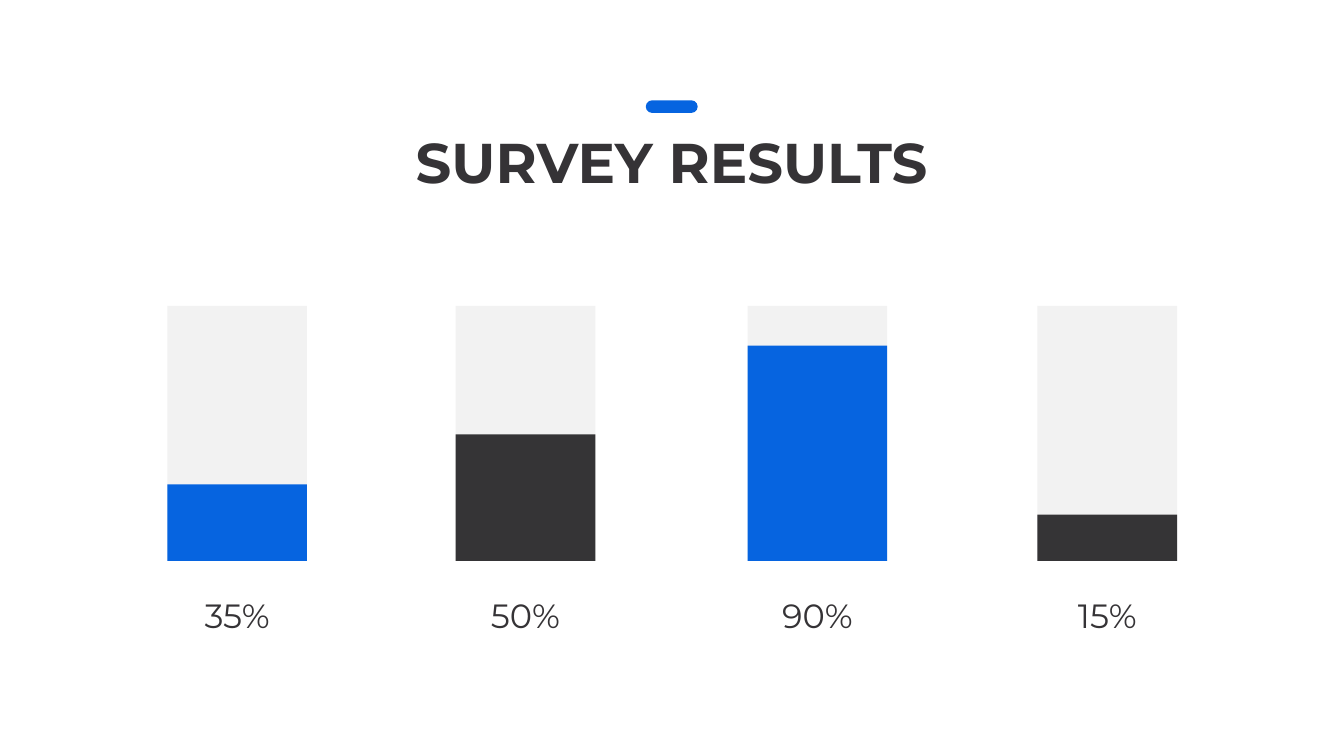
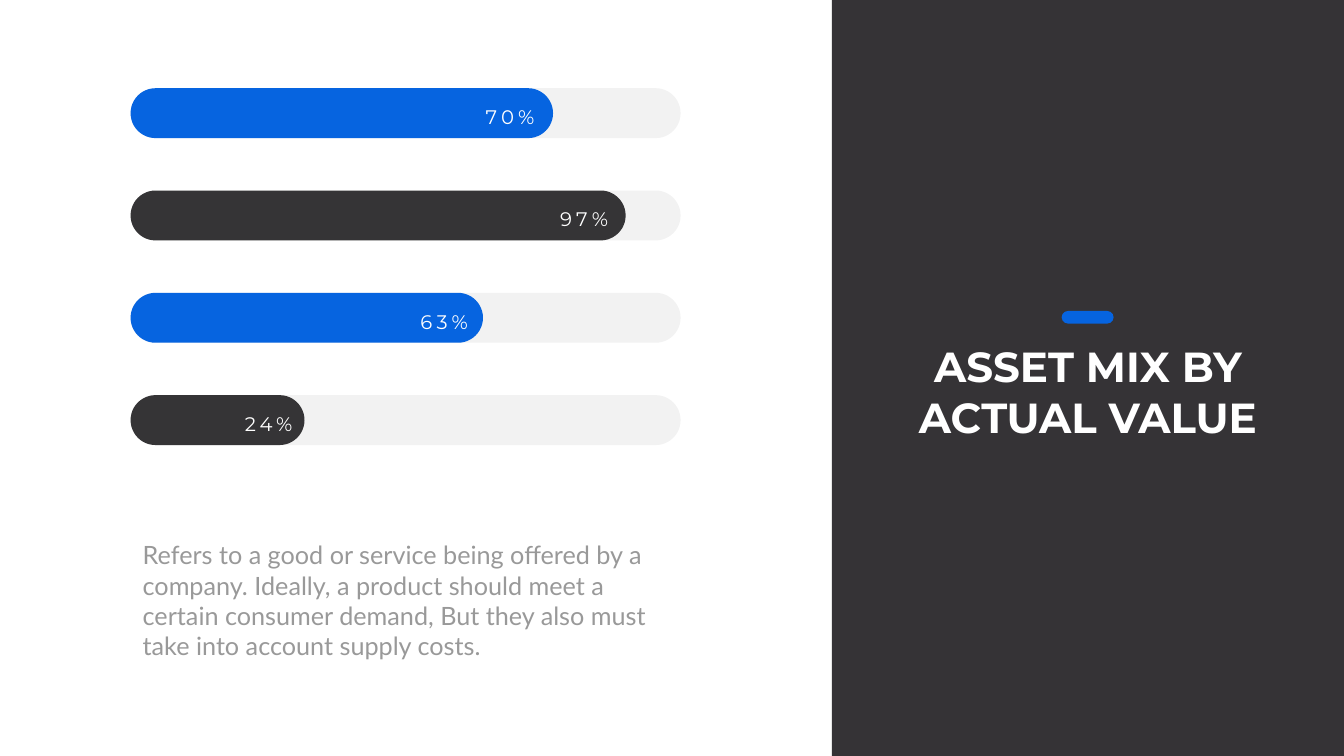
from lxml import etree
from pptx import Presentation
from pptx.dml.color import RGBColor
from pptx.enum.shapes import MSO_SHAPE as SHAPE
from pptx.enum.text import MSO_ANCHOR as ANCHOR, MSO_AUTO_SIZE as AUTO, PP_ALIGN as ALIGN
from pptx.oxml.ns import qn
from pptx.util import Pt

# Shared style; lengths are px at 100 px to the inch
PX = 9144
BLUE, DARK, INK = "0664E0", "353436", "353336"
TRACK, WHITE, GREY = "808080", "FFFFFF", "999999"
HEAD, BODY = "Montserrat", "Lato"
TICK_W, TICK_H = 103, 25


def px(*lengths):
    return [n * PX for n in lengths]


def rgb(code):
    return RGBColor.from_string(code)


def add_box(s, at, color, rounded=False, alpha=None):
    kind = SHAPE.ROUNDED_RECTANGLE if rounded else SHAPE.RECTANGLE
    sp = s.shapes.add_shape(kind, *px(*at))
    if rounded:
        sp.adjustments[0] = 0.5
    sp.shadow.inherit = False
    sp.line.fill.background()
    sp.fill.solid()
    sp.fill.fore_color.rgb = rgb(color)
    if alpha is not None:
        clr = next(sp.element.iter(qn("a:srgbClr")))
        etree.SubElement(clr, qn("a:alpha"), val=str(alpha * 1000))


def write(sp, text, size, color, align, font=HEAD, bold=False):
    tf = sp.text_frame
    tf.text = text
    tf.word_wrap = True
    tf.auto_size = AUTO.NONE
    tf.vertical_anchor = ANCHOR.TOP
    p = tf.paragraphs[0]
    p.alignment = align
    p.font.name, p.font.size, p.font.bold = font, Pt(size), bold
    p.font.color.rgb = rgb(color)
    return tf


def add_text(s, at, text, size, color, align, font=HEAD):
    return write(s.shapes.add_textbox(*px(*at)), text, size, color, align, font)


def add_title(s, at, text, size, color, tick_top):
    """Title with the short blue tick centred above it."""
    title = s.shapes.title
    title.left, title.top, title.width, title.height = px(*at)
    write(title, text, size, color, ALIGN.CENTER, bold=True)
    # Bring the title in front of any panel already drawn
    title.element.getparent().append(title.element)
    left = at[0] + (at[2] - TICK_W) // 2
    add_box(s, (left, tick_top, TICK_W, TICK_H), BLUE, rounded=True)


def add_column(s, left, height, color, label):
    top, width, full = 607, 277, 506
    add_box(s, (left, top, width, full), TRACK, alpha=10)
    add_box(s, (left, top + full - height, width, height), color)
    add_text(s, (left + 22, 1176, 233, 124), label, 48, INK, ALIGN.CENTER)


def add_progress(s, top, width, color, label, label_right):
    left, full, height, label_w = 259, 1091, 99, 130
    add_box(s, (left, top, full, height), TRACK, rounded=True, alpha=10)
    add_box(s, (left, top, width, height), color, rounded=True)
    tf = add_text(s, (label_right - label_w, top + 28, label_w, 48),
                  label, 28, WHITE, ALIGN.RIGHT)
    # Letter spacing of 6 pt
    tf.paragraphs[0].runs[0].font._element.set("spc", "600")


def survey_slide(s):
    columns = [(332, 152, BLUE, "35%"), (904, 251, DARK, "50%"),
               (1483, 427, BLUE, "90%"), (2058, 92, DARK, "15%")]
    for column in columns:
        add_column(s, *column)
    add_title(s, (608, 248, 1449, 145), "SURVEY RESULTS", 80, INK, 199)


def asset_slide(s):
    # Progress bars
    bars = [(838, BLUE, "70%", 1070), (982, DARK, "97%", 1216),
            (699, BLUE, "63%", 938), (345, DARK, "24%", 590)]
    for i, bar in enumerate(bars):
        add_progress(s, 175 + 203 * i, *bar)

    # Title panel
    add_box(s, (1650, 0, 1016, 1500), INK)
    add_title(s, (1780, 671, 756, 212), "ASSET MIX BY ACTUAL VALUE", 60, WHITE, 617)

    # Description
    tf = add_text(s, (259, 1059, 1049, 266),
                  "Refers to a good or service being offered by a company. Ideally, "
                  "a product should meet a certain consumer demand, But they also "
                  "must take into account supply costs.", 36, GREY, ALIGN.LEFT, BODY)
    tf.margin_left, tf.margin_top, tf.margin_right, tf.margin_bottom = px(24, 12, 24, 12)


def main():
    prs = Presentation()
    prs.slide_width, prs.slide_height = px(2666, 1500)
    title_only = prs.slide_layouts[5]
    for build in (survey_slide, asset_slide):
        build(prs.slides.add_slide(title_only))
    prs.save("out.pptx")


if __name__ == "__main__":
    main()
